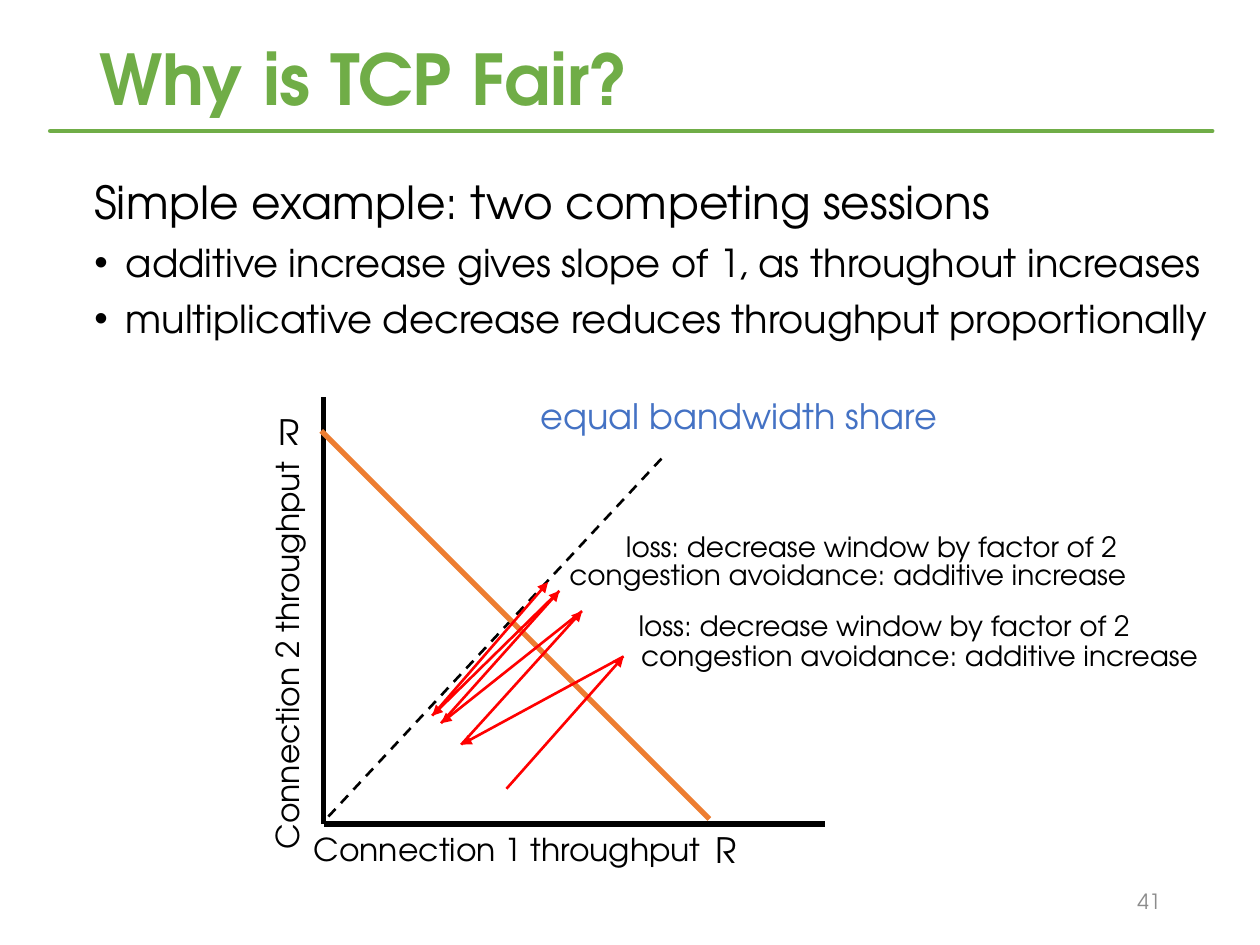
import itertools

import lxml.etree
import pptx
import pptx.dml.color
import pptx.enum.dml
import pptx.enum.shapes
import pptx.enum.text
import pptx.oxml.ns
import pptx.util

Inches = pptx.util.Inches
FONT = "TeX Gyre Adventor"
BLACK, GREEN, BLUE, ORANGE, RED, GRAY = "000000", "70AD47", "4472C4", "ED7D31", "FF0000", "8C8C8C"
ALIGN = pptx.enum.text.PP_ALIGN
MIDDLE = pptx.enum.text.MSO_ANCHOR.MIDDLE


def rgb(color):
    """Turn a hex string into a colour."""
    return pptx.dml.color.RGBColor.from_string(color)


def add_node(parent, tag, **attributes):
    """Append a DrawingML element to a parent."""
    return lxml.etree.SubElement(parent, pptx.oxml.ns.qn(tag), attributes)


def apply_format(target, values):
    """Set every attribute named in a dict of format values."""
    for name, value in values.items():
        setattr(target, name, value)


def fill_paragraph(paragraph, wording, size, color=BLACK, bold=False, **layout):
    """Write one formatted run into a paragraph."""
    run = paragraph.add_run()
    run.text = wording
    apply_format(run.font, {"name": FONT, "size": pptx.util.Pt(size), "bold": bold})
    run.font.color.rgb = rgb(color)
    apply_format(paragraph, layout)


def add_frame(slide, box, **frame_format):
    """Add an empty wrapping text box."""
    label = slide.shapes.add_textbox(*map(Inches, box))
    apply_format(label.text_frame, {"word_wrap": True, **frame_format})
    return label


def add_label(slide, box, wording, size, color=BLACK, rotation=0):
    """Add a one-line label."""
    label = add_frame(slide, box)
    label.rotation = rotation
    fill_paragraph(label.text_frame.paragraphs[0], wording, size, color)


def add_line(slide, start, end, color, width, dash=None, arrow=False, cap="flat"):
    """Draw a straight line, optionally dashed or with an arrowhead at its end."""
    line = slide.shapes.add_connector(
        pptx.enum.shapes.MSO_CONNECTOR.STRAIGHT, *map(Inches, (*start, *end)))
    line.line.color.rgb = rgb(color)
    apply_format(line.line, {"width": pptx.util.Pt(width), "dash_style": dash})
    outline = line.line._get_or_add_ln()
    outline.set("cap", cap)
    if arrow:
        add_node(outline, "a:tailEnd", type="triangle")
    add_node(line._element.spPr, "a:effectLst")


def add_header(slide, box):
    """Place the title above its green rule."""
    left, top, width, height = box
    add_line(slide, (left, top + height), (left + width, top + height), GREEN, 2.75, cap="rnd")
    title = add_frame(slide, (left + 0.29, top, 8.62, 0.74), vertical_anchor=MIDDLE)
    fill_paragraph(title.text_frame.paragraphs[0], "Why is TCP Fair?", 40, GREEN, True,
                   line_spacing=0.9)


def add_body(slide, box):
    """Place the lead sentence and its bullets."""
    frame = add_frame(slide, box).text_frame
    points = [
        ("Simple example: two competing sessions", 26, False),
        ("additive increase gives slope of 1, as throughout increases", 22, True),
        ("multiplicative decrease reduces throughput proportionally", 22, True),
    ]
    for index, (wording, size, bulleted) in enumerate(points):
        paragraph = frame.add_paragraph() if index else frame.paragraphs[0]
        fill_paragraph(paragraph, wording, size, space_before=pptx.util.Pt(6))
        properties = paragraph._p.get_or_add_pPr()
        properties.set("marL", str(Inches(0.25)))
        properties.set("indent", str(Inches(-0.25)))
        if bulleted:
            add_node(properties, "a:buFont", typeface="Arial")
            add_node(properties, "a:buChar", char="•")


def add_throughput_plot(slide, box):
    """Draw the axes, the two share lines, the sawtooth path and all labels."""
    left, top, width, height = box
    bottom = top + height

    def at(x, y):
        """Give the place of a point measured from the plot's top left."""
        return left + x, top + y

    for x, y, wording in ((-0.18, 3.39, "Connection 1 throughput"),
                          (-2.23, 1.55, "Connection 2 throughput")):
        add_label(slide, (*at(x, y), 3.88, 0.4), wording, 18,
                  rotation=270 if "2" in wording else 0)
    add_line(slide, (left, bottom), (left + width, bottom), BLACK, 3)
    add_line(slide, (left, bottom), (left, top), BLACK, 3)
    add_line(slide, at(2.68, 0.49), at(0, 3.37), BLACK, 1.5,
             dash=pptx.enum.dml.MSO_LINE.DASH)
    add_line(slide, at(-0.02, 0.27), at(3.06, 3.35), ORANGE, 3)
    for x, y in ((-0.46, 0.06), (3.01, 3.38)):
        add_label(slide, (*at(x, y), 0.44, 0.43), "R", 20)
    add_label(slide, (*at(1.62, -0.07), 3.88, 0.44), "equal bandwidth share", 20, BLUE)

    sawtooth = [(1.45, 3.11), (2.38, 2.06), (1.09, 2.76), (2.05, 1.7),
                (0.93, 2.59), (1.87, 1.54), (0.86, 2.53), (1.78, 1.47)]
    for start, end in itertools.pairwise(sawtooth):
        add_line(slide, at(*start), at(*end), RED, 1.5, arrow=True)

    increase = "congestion avoidance: additive increase"
    decrease = "loss: decrease window by factor of 2"
    for x, y, wording in ((2.42, 1.87, increase), (2.4, 1.63, decrease),
                          (1.85, 1.23, increase), (2.3, 1, decrease)):
        add_label(slide, (*at(x, y), 4.96, 0.37), wording, 16)


def add_page_number(slide, box):
    """Place the page number."""
    frame = add_frame(slide, box, vertical_anchor=MIDDLE).text_frame
    fill_paragraph(frame.paragraphs[0], "41", 12, GRAY, alignment=ALIGN.RIGHT)


def main():
    """Build and save the slide."""
    deck = pptx.Presentation()
    apply_format(deck, {"slide_width": Inches(10), "slide_height": Inches(7.5)})
    slide = deck.slides.add_slide(deck.slide_layouts[6])
    add_header(slide, (0.4, 0.29, 9.22, 0.75))
    add_body(slide, (0.65, 1.33, 9.08, 5.03))
    add_throughput_plot(slide, (2.57, 3.15, 3.98, 3.39))
    add_page_number(slide, (7.06, 6.95, 2.25, 0.4))
    deck.save("out.pptx")


if __name__ == "__main__":
    main()
